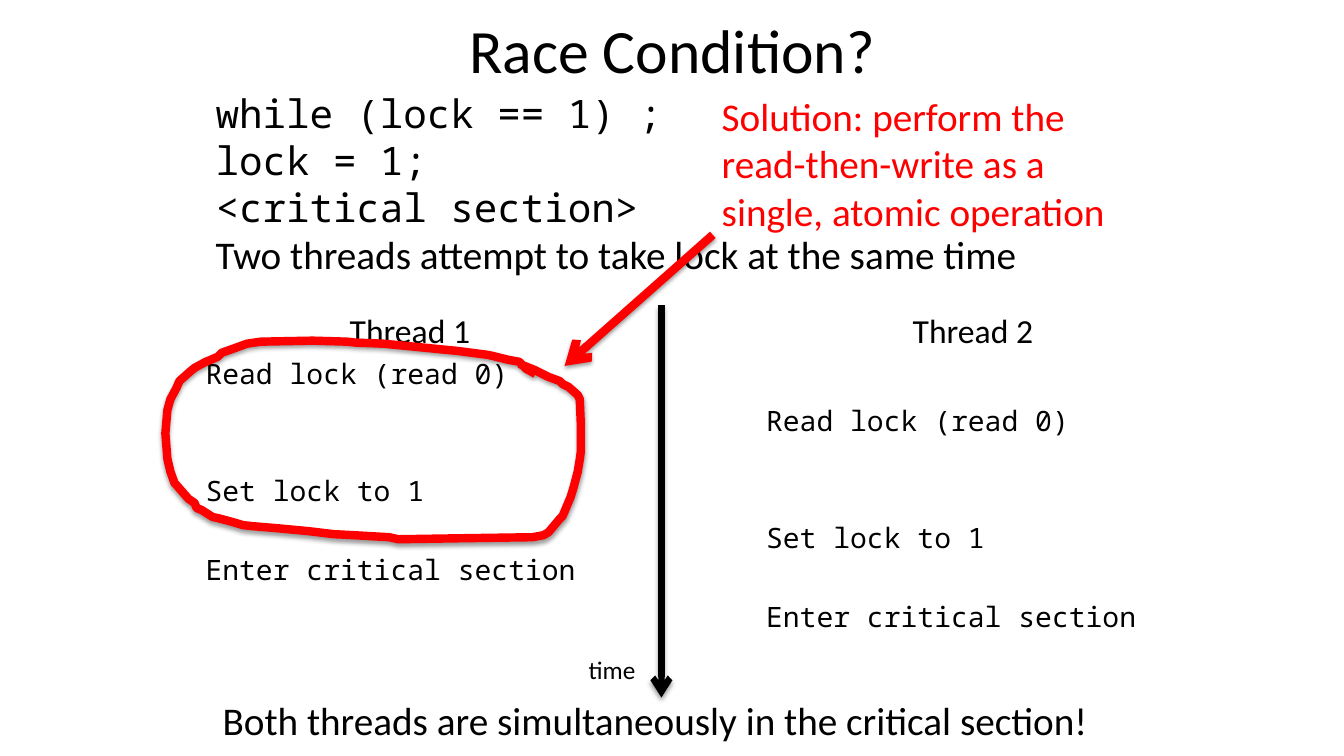
"""Build the slide that explains a race on a lock and its atomic solution."""
from lxml.etree import SubElement
from pptx import Presentation
from pptx.dml.color import RGBColor
from pptx.enum.shapes import MSO_CONNECTOR
from pptx.enum.text import MSO_ANCHOR, PP_ALIGN
from pptx.oxml.ns import qn
from pptx.util import Inches, Pt

BLACK = RGBColor(0x00, 0x00, 0x00)
RED = RGBColor(0xFF, 0x00, 0x00)
BODY, CODE = "Calibri", "Noto Sans Mono"

LASSO = [
    (5.31, 3.71), (5.22, 3.66), (5.15, 3.59), (5.04, 3.57), (4.88, 3.53),
    (4.83, 3.52), (4.52, 3.48), (4.41, 3.47), (4.11, 3.44), (3.8, 3.41),
    (3.53, 3.4), (3.44, 3.39), (3.1, 3.38), (2.59, 3.39), (2.45, 3.41),
    (2.34, 3.45), (2.2, 3.5), (2.16, 3.54), (2.09, 3.57), (2.04, 3.59),
    (1.93, 3.65), (1.87, 3.7), (1.78, 3.78), (1.75, 3.85), (1.69, 3.96),
    (1.66, 4.07), (1.64, 4.3), (1.66, 4.55), (1.69, 4.68), (1.73, 4.79),
    (1.8, 4.87), (1.87, 4.95), (1.93, 4.99), (1.95, 5.04), (2, 5.06),
    (2.11, 5.13), (2.16, 5.14), (2.31, 5.18), (2.41, 5.21), (2.5, 5.22),
    (2.74, 5.24), (3.06, 5.27), (3.31, 5.3), (3.51, 5.31), (3.86, 5.33),
    (3.95, 5.35), (4.6, 5.34), (5.28, 5.33), (5.39, 5.31), (5.44, 5.28),
    (5.55, 5.15), (5.58, 5.12), (5.66, 4.93), (5.69, 4.83), (5.73, 4.68),
    (5.75, 4.56), (5.76, 4.48), (5.76, 4.2), (5.75, 3.96), (5.73, 3.92),
    (5.64, 3.84), (5.58, 3.81), (5.55, 3.78), (5.44, 3.74), (5.3, 3.67),
    (5.15, 3.61),
]


def apply(target, values):
    """Set each attribute of the target from a dict."""
    for name, value in values.items():
        setattr(target, name, value)


class Slide:
    """Holds the style and the page being drawn."""

    def __init__(self, deck):
        """Add a title-only page to the deck."""
        self.page = deck.slides.add_slide(deck.slide_layouts[5])

    def fill_text(self, frame, lines, size, color=BLACK):
        """Fill a text frame with (text, font values, paragraph values) lines."""
        for index, (text, font, layout) in enumerate(lines):
            para = frame.add_paragraph() if index else frame.paragraphs[0]
            apply(para, layout)
            span = para.add_run()
            span.text = text
            apply(span.font, {"size": Pt(size), "name": BODY, **font})
            span.font.color.rgb = color

    def title(self, text, *bounds):
        """Place and format the title placeholder."""
        box = self.page.shapes.title
        apply(box, dict(zip(("left", "top", "width", "height"), map(Inches, bounds))))
        box.text_frame.vertical_anchor = MSO_ANCHOR.MIDDLE
        self.fill_text(box.text_frame, [(text, {}, {"alignment": PP_ALIGN.CENTER})], 44)

    def text(self, bounds, lines, size, color=BLACK, wrap=True):
        """Add a text box."""
        box = self.page.shapes.add_textbox(*map(Inches, bounds))
        box.text_frame.word_wrap = wrap
        self.fill_text(box.text_frame, lines, size, color)

    def thread(self, heading, left, width, read_gap):
        """Add one thread's column of steps, spaced along the time axis."""
        steps = [("Read lock (read 0)", read_gap), ("Set lock to 1", 60),
                 ("Enter critical section", 32)]
        lines = [(heading, {}, {"alignment": PP_ALIGN.CENTER})]
        lines += [(step, {"name": CODE, "size": Pt(20)},
                   {"space_before": Pt(gap), "line_spacing": Pt(24)})
                  for step, gap in steps]
        self.text((left, 3.03, width, 3.74), lines, 24)

    def stroke(self, shape, color, width, arrow=False):
        """Style an outline and give it a soft shadow below."""
        shape.line.color.rgb = color
        shape.line.width = Pt(width)
        properties = shape._element.spPr
        if arrow:
            SubElement(properties.find(qn("a:ln")), qn("a:tailEnd"), type="arrow")
        effects = SubElement(properties, qn("a:effectLst"))
        shadow = SubElement(effects, qn("a:outerShdw"), blurRad="40000",
                            dist="20000", dir="5400000", rotWithShape="0")
        tint = SubElement(shadow, qn("a:srgbClr"), val=str(BLACK))
        SubElement(tint, qn("a:alpha"), val="38000")

    def arrow(self, start, end, color, width):
        """Add a straight arrow."""
        line = self.page.shapes.add_connector(
            MSO_CONNECTOR.STRAIGHT, *map(Inches, start + end))
        self.stroke(line, color, width, arrow=True)

    def outline(self, points, color, width):
        """Add an open hand-drawn outline."""
        first, *rest = [(Inches(x), Inches(y)) for x, y in points]
        builder = self.page.shapes.build_freeform(*first)
        builder.add_line_segments(rest, close=False)
        shape = builder.convert_to_shape()
        shape.fill.background()
        self.stroke(shape, color, width)


def main():
    """Draw the slide and save the deck."""
    deck = Presentation()
    apply(deck, {"slide_width": Inches(13.33), "slide_height": Inches(7.5)})
    slide = Slide(deck)
    slide.title("Race Condition?", 1.88, -0.14, 9.58, 1.25)
    slide.thread("Thread 1", 1.94, 4.25, 4)
    pitch = {"line_spacing": Pt(33.6)}
    code = [(line, {"name": CODE}, pitch)
            for line in ("while (lock == 1) ;", "lock = 1;", "<critical section>")]
    claim = ("Two threads attempt to take lock at the same time", {}, pitch)
    slide.text((2.04, 0.84, 9.41, 1.99), code + [claim], 28)
    slide.thread("Thread 2", 7.5, 4.3, 37.6)
    slide.arrow((6.56, 3.03), (6.56, 6.92), BLACK, 4.5)
    slide.text((5.74, 6.44, 0.67, 0.4), [("time", {}, {})], 18, wrap=False)
    slide.text((2.11, 6.86, 8.89, 0.57),
               [("Both threads are simultaneously in the critical section!", {}, {})],
               28, wrap=False)
    slide.outline(LASSO, RED, 6)
    slide.arrow((7.07, 2.33), (5.6, 3.63), RED, 6)
    slide.text((7.06, 0.87, 4.39, 1.51),
               [("Solution: perform the read-then-write as a single, atomic operation",
                 {}, {})], 28, RED)
    deck.save("out.pptx")


if __name__ == "__main__":
    main()
